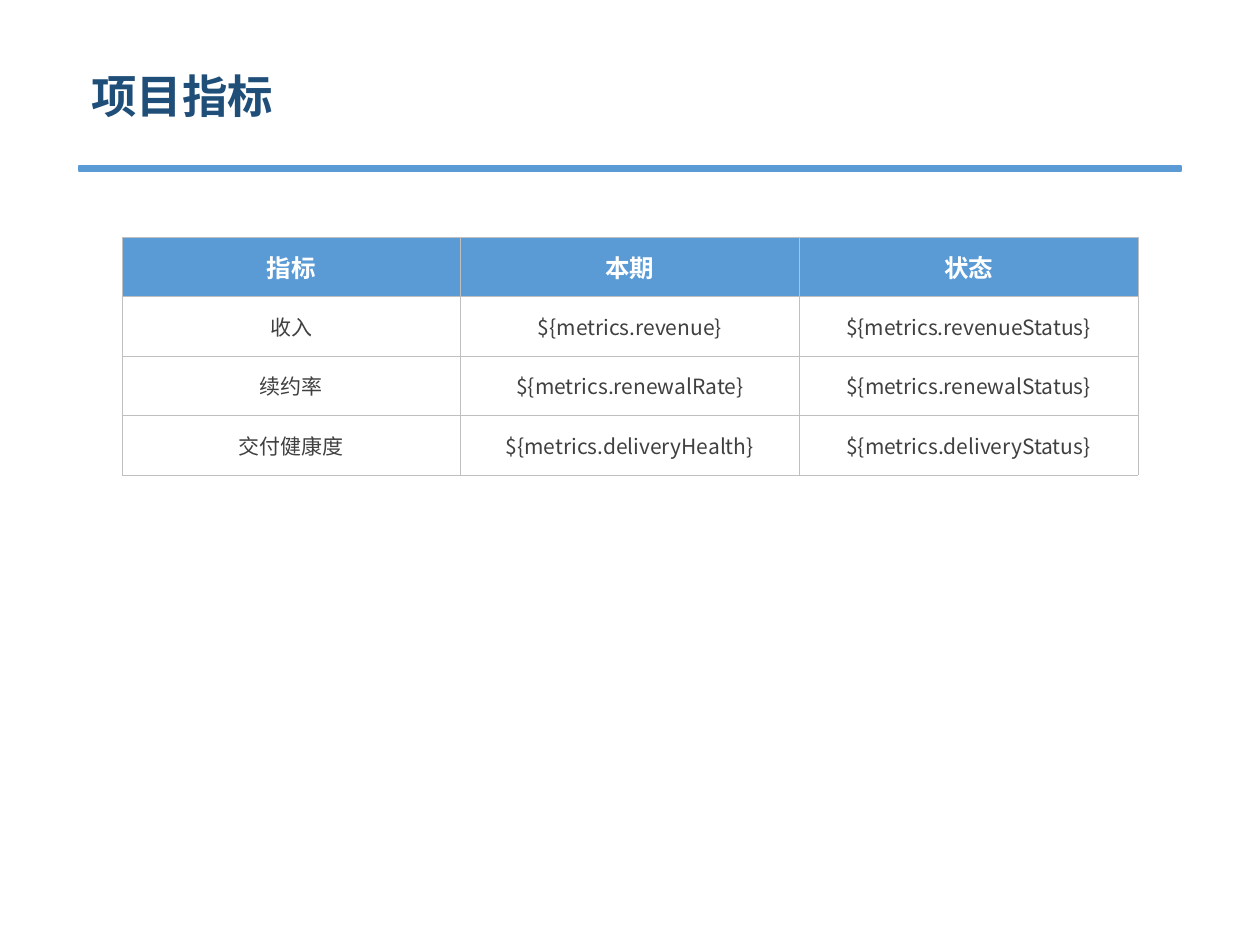
from dataclasses import dataclass

from lxml.etree import SubElement
from pptx import Presentation
from pptx.dml.color import RGBColor
from pptx.enum.lang import MSO_LANGUAGE_ID
from pptx.enum.shapes import MSO_SHAPE
from pptx.enum.text import MSO_ANCHOR, PP_ALIGN
from pptx.oxml.ns import qn
from pptx.util import Emu, Pt


@dataclass(frozen=True)
class Theme:
    """Colours, fonts and type sizes of the slide."""
    title: str = "1F4E79"
    accent: str = "5B9BD5"
    white: str = "FFFFFF"
    text: str = "404040"
    border: str = "BFBFBF"
    title_font: str = "Arial"
    cjk_font: str = "Noto Sans CJK SC"
    title_size: int = 26
    header_size: int = 14
    body_size: int = 12
    border_width: float = 0.45


THEME = Theme()
ROWS = [
    ("指标", "本期", "状态"),
    ("收入", "${metrics.revenue}", "${metrics.revenueStatus}"),
    ("续约率", "${metrics.renewalRate}", "${metrics.renewalStatus}"),
    ("交付健康度", "${metrics.deliveryHealth}", "${metrics.deliveryStatus}"),
]


def px(n):
    """Turn pixels into EMU at 126 px to the inch."""
    return Emu(round(n * 914400 / 126))


def set_fill(fill, color):
    """Apply a solid colour."""
    fill.solid()
    fill.fore_color.rgb = RGBColor.from_string(color)


def write(tf, text, font, size, color, bold, align=PP_ALIGN.LEFT):
    """Put one formatted line of text in a frame."""
    tf.text = text
    p = tf.paragraphs[0]
    p.alignment = align
    r = p.runs[0]
    r.font.name = font
    r.font.size = Pt(size)
    r.font.bold = bold
    r.font.color.rgb = RGBColor.from_string(color)
    r.font.language_id = MSO_LANGUAGE_ID.SIMPLIFIED_CHINESE
    SubElement(r._r.get_or_add_rPr(), qn("a:ea"), typeface=THEME.cjk_font)


def set_borders(cell):
    """Draw a thin line on all four sides of a cell."""
    tc_pr = cell._tc.get_or_add_tcPr()
    for side in ("lnL", "lnR", "lnT", "lnB"):
        ln = SubElement(tc_pr, qn(f"a:{side}"), w=str(Pt(THEME.border_width)))
        fill = SubElement(ln, qn("a:solidFill"))
        SubElement(fill, qn("a:srgbClr"), val=THEME.border)


def add_title(s, text, x, y, w, h):
    """Add the slide title."""
    tf = s.shapes.add_textbox(px(x), px(y), px(w), px(h)).text_frame
    tf.word_wrap = True
    write(tf, text, THEME.title_font, THEME.title_size, THEME.title, True)


def add_rule(s, x, y, w, h):
    """Add the accent bar below the title."""
    sp = s.shapes.add_shape(MSO_SHAPE.RECTANGLE, px(x), px(y), px(w), px(h))
    sp.shadow.inherit = False
    set_fill(sp.fill, THEME.accent)
    sp.line.color.rgb = RGBColor.from_string(THEME.accent)
    sp.line.width = Pt(0.75)


def style_cell(cell, text, header):
    """Fill in and format one table cell."""
    size, color, fill = (
        (THEME.header_size, THEME.white, THEME.accent) if header
        else (THEME.body_size, THEME.text, THEME.white))
    write(cell.text_frame, text, THEME.cjk_font, size, color, header, PP_ALIGN.CENTER)
    cell.vertical_anchor = MSO_ANCHOR.MIDDLE
    cell.margin_left = cell.margin_right = px(10)
    cell.margin_top = cell.margin_bottom = px(6)
    set_borders(cell)
    set_fill(cell.fill, fill)


def add_metrics_table(s, rows, x, y, w, h):
    """Add a table with equal columns and rows."""
    table = s.shapes.add_table(
        len(rows), len(rows[0]), px(x), px(y), px(w), px(h)).table
    for i, row in enumerate(rows):
        for j, text in enumerate(row):
            style_cell(table.cell(i, j), text, header=i == 0)


def main():
    """Build and save the slide."""
    prs = Presentation()
    prs.slide_width, prs.slide_height = px(1260), px(945)
    s = prs.slides.add_slide(prs.slide_layouts[6])
    set_fill(s.background.fill, THEME.white)
    add_title(s, "项目指标", 79, 62, 1102, 96)
    add_rule(s, 79, 166, 1102, 5)
    add_metrics_table(s, ROWS, 122, 237, 1016, 238)
    prs.save("out.pptx")


if __name__ == "__main__":
    main()
